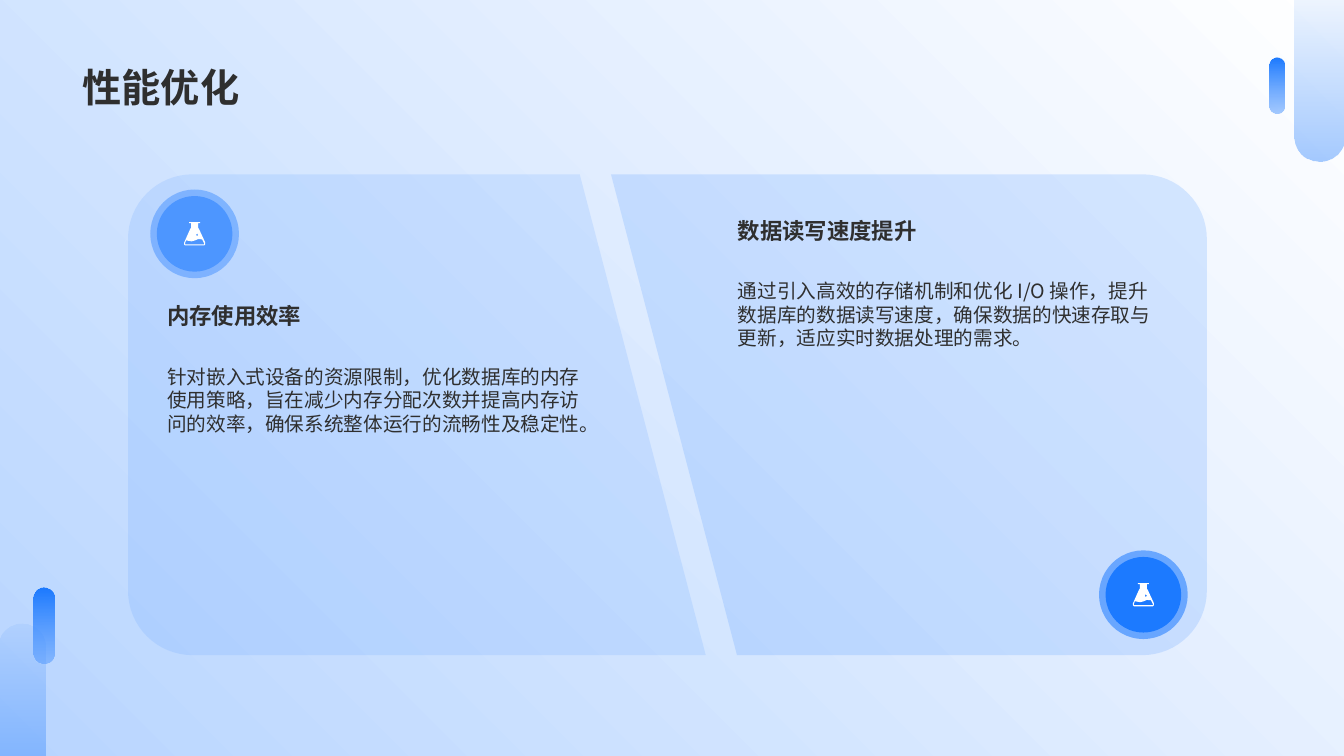
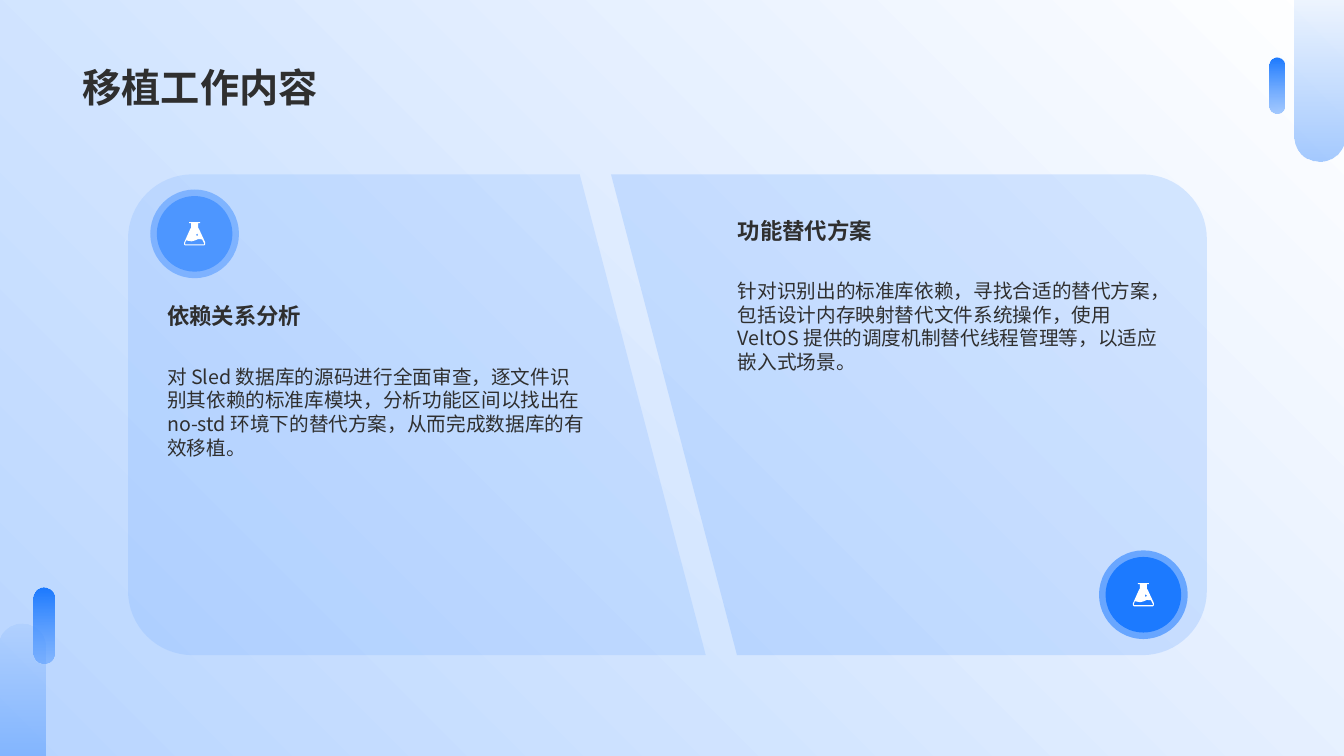
import dataclasses
import math

import pptx
import pptx.dml.color
import pptx.enum.shapes
import pptx.enum.text
import pptx.oxml.ns
import pptx.util
from lxml import etree

SHAPE = pptx.enum.shapes.MSO_SHAPE
ANCHOR = pptx.enum.text.MSO_ANCHOR
inches = pptx.util.Inches


@dataclasses.dataclass(frozen=True)
class Theme:
    font: str = "Noto Sans CJK SC"
    ink: str = "2F2F2F"
    sky: str = "4D96FF"
    blue: str = "1C7AFF"
    mist: str = "B8D5FF"
    white: str = "FFFFFF"
    title_size: int = 28
    heading_size: int = 16
    body_size: int = 14
    panel_alpha: int = 15
    ring_alpha: int = 55


@dataclasses.dataclass(frozen=True)
class Box:
    left: float
    top: float
    width: float
    height: float

    @property
    def right(self):
        return self.left + self.width

    @property
    def bottom(self):
        return self.top + self.height

    def lengths(self):
        return [inches(n) for n in (self.left, self.top, self.width, self.height)]


THEME = Theme()
PAGE = Box(0, 0, 13.33, 7.5)
TITLE = Box(0.72, 0.17, 11.88, 0.98)
LEFT_PANEL = Box(1.27, 1.73, 5.73, 4.77)
RIGHT_PANEL = Box(6.06, 1.73, 5.91, 4.77)
SLANT = 1.25
CORNER = 0.64
RING = 0.88
DISC = 0.75
TEXT_WIDTH = 4.36
BODY_DROP = 0.62

# Flask contours in hundredths of an inch: glass, liquid, bubble
FLASK_SIZE = (0.21, 0.23)
FLASK = [
    [(0, 20.5), (6, 7), (7, 5.5), (7, 1), (5, 1), (5, 0), (16, 0), (16, 1),
     (14, 1), (14, 5.5), (15, 7), (21, 20), (21, 22), (20, 23), (1, 23), (0, 22)],
    [(11, 18), (7.5, 19), (2, 18), (1, 21), (1, 22), (20, 22), (20, 21),
     (18, 17), (14, 16.7)],
    [(13, 11), (12, 12.5), (13, 14), (14, 12.5)],
]

SLIDES = [
    ("性能优化",
     ("内存使用效率",
      "针对嵌入式设备的资源限制，优化数据库的内存使用策略，旨在减少内存分配次数并提高内存访问的效率，确保系统整体运行的流畅性及稳定性。"),
     ("数据读写速度提升",
      "通过引入高效的存储机制和优化 I/O 操作，提升数据库的数据读写速度，确保数据的快速存取与更新，适应实时数据处理的需求。")),
    ("移植工作内容",
     ("依赖关系分析",
      "对 Sled 数据库的源码进行全面审查，逐文件识别其依赖的标准库模块，分析功能区间以找出在 no-std 环境下的替代方案，从而完成数据库的有效移植。"),
     ("功能替代方案",
      "针对识别出的标准库依赖，寻找合适的替代方案，包括设计内存映射替代文件系统操作，使用 VeltOS 提供的调度机制替代线程管理等，以适应嵌入式场景。")),
]


# Fills
def set_alpha(color_element, percent):
    if percent < 100:
        alpha = etree.SubElement(color_element, pptx.oxml.ns.qn("a:alpha"))
        alpha.set("val", str(percent * 1000))


def fill_solid(shape, color, alpha=100):
    shape.shadow.inherit = False
    shape.line.fill.background()
    shape.fill.solid()
    shape.fill.fore_color.rgb = pptx.dml.color.RGBColor.from_string(color)
    set_alpha(next(shape.element.iter(pptx.oxml.ns.qn("a:srgbClr"))), alpha)


def fill_gradient(fill, owner, stops, angle):
    fill.gradient()
    fill.gradient_angle = angle
    for stop, (color, _) in zip(fill.gradient_stops, stops):
        stop.color.rgb = pptx.dml.color.RGBColor.from_string(color)
    gradient = next(owner.iter(pptx.oxml.ns.qn("a:gradFill")))
    colors = gradient.iter(pptx.oxml.ns.qn("a:srgbClr"))
    for element, (_, alpha) in zip(list(colors), stops):
        set_alpha(element, alpha)


# Text
def write(frame, text, size, bold=False, anchor=ANCHOR.TOP):
    frame.word_wrap = True
    frame.auto_size = pptx.enum.text.MSO_AUTO_SIZE.NONE
    frame.vertical_anchor = anchor
    para = frame.paragraphs[0]
    para.alignment = pptx.enum.text.PP_ALIGN.LEFT
    para.line_spacing = 1.0
    span = para.add_run()
    span.text = text
    span.font.size = pptx.util.Pt(size)
    span.font.bold = bold
    span.font.color.rgb = pptx.dml.color.RGBColor.from_string(THEME.ink)
    span.font.name = THEME.font
    east_asian = etree.SubElement(span.font._element, pptx.oxml.ns.qn("a:ea"))
    east_asian.set("typeface", THEME.font)


# Outlines
def draw_outline(page, contours, color, alpha=100):
    contours = [[(inches(x), inches(y)) for x, y in points] for points in contours]
    builder = page.shapes.build_freeform(*contours[0][0])
    for index, points in enumerate(contours):
        if index:
            builder.move_to(*points[0])
        builder.add_line_segments(points[1:], close=True)
    fill_solid(builder.convert_to_shape(), color, alpha)


def corner_arc(center_x, center_y, start, steps=16):
    angles = [math.radians(start + 90 * step / steps) for step in range(steps + 1)]
    return [(center_x + CORNER * math.cos(angle), center_y + CORNER * math.sin(angle))
            for angle in angles]


def left_outline(box):
    x, low, high = box.left + CORNER, box.bottom - CORNER, box.top + CORNER
    return ([(box.right - SLANT, box.top), (box.right, box.bottom)]
            + corner_arc(x, low, 90) + corner_arc(x, high, 180))


def right_outline(box):
    x, low, high = box.right - CORNER, box.bottom - CORNER, box.top + CORNER
    return ([(box.left + SLANT, box.bottom), (box.left, box.top)]
            + corner_arc(x, high, 270) + corner_arc(x, low, 0))


# Round badge with a flask
def add_badge(page, box, color):
    center_x, center_y = box.left + box.width / 2, box.top + box.height / 2
    for size, alpha in ((box.width, THEME.ring_alpha), (DISC, 100)):
        circle = Box(center_x - size / 2, center_y - size / 2, size, size)
        fill_solid(page.shapes.add_shape(SHAPE.OVAL, *circle.lengths()), color, alpha)
    left, top = center_x - FLASK_SIZE[0] / 2, center_y - FLASK_SIZE[1] / 2
    flask = [[(left + x / 100, top + y / 100) for x, y in points] for points in FLASK]
    draw_outline(page, flask, THEME.white)


# Heading with its paragraph below
def add_topic(page, left, top, topic):
    heading, body = topic
    parts = ((heading, top, 0.42, THEME.heading_size, True),
             (body, top + BODY_DROP, 1.25, THEME.body_size, False))
    for text, part_top, height, size, bold in parts:
        part = Box(left, part_top, TEXT_WIDTH, height)
        write(page.shapes.add_textbox(*part.lengths()).text_frame, text, size, bold=bold)


def add_left_panel(page, box, topic):
    draw_outline(page, [left_outline(box)], THEME.sky, THEME.panel_alpha)
    add_badge(page, Box(box.left + 0.22, box.top + 0.15, RING, RING), THEME.sky)
    add_topic(page, box.left + 0.29, box.top + 1.22, topic)


def add_right_panel(page, box, topic):
    draw_outline(page, [right_outline(box)], THEME.blue, THEME.panel_alpha)
    add_badge(page, Box(box.right - 0.19 - RING, box.bottom - 0.16 - RING, RING, RING),
              THEME.blue)
    add_topic(page, box.left + 1.16, box.top + 0.37, topic)


# Shared background, title place and edge bars
def set_up_master(deck, layout, page):
    master = deck.slide_master
    fill_gradient(master.background.fill, master.element,
                  ((THEME.mist, 70), (THEME.white, 100)), 45)
    for holder in (master.placeholders[0], layout.placeholders[0]):
        holder.left, holder.top, holder.width, holder.height = TITLE.lengths()
    pale = ((THEME.sky, 10), (THEME.sky, 50))
    vivid = ((THEME.blue, 100), (THEME.sky, 50))
    bars = [
        (Box(PAGE.right - 0.49, 0, 0.49, 1.6), (0, 0.5), pale),
        (Box(-0.01, PAGE.bottom - 1.31, 0.46, 1.31), (0.5, 0), pale),
        (Box(12.59, 0.57, 0.15, 0.56), (0.5, 0.5), vivid),
        (Box(0.33, 5.83, 0.21, 0.75), (0.5, 0.5), vivid),
    ]
    for box, rounding, stops in bars:
        bar = page.shapes.add_shape(SHAPE.ROUND_2_SAME_RECTANGLE, *box.lengths())
        bar.adjustments[0], bar.adjustments[1] = rounding
        bar.shadow.inherit = False
        bar.line.fill.background()
        fill_gradient(bar.fill, bar.element, stops, 270)
        master.shapes.element.append(bar.element)


def add_topic_slide(page, title, left_topic, right_topic):
    write(page.shapes.title.text_frame, title, THEME.title_size,
          bold=True, anchor=ANCHOR.BOTTOM)
    add_left_panel(page, LEFT_PANEL, left_topic)
    add_right_panel(page, RIGHT_PANEL, right_topic)


def main():
    deck = pptx.Presentation()
    deck.slide_width, deck.slide_height = inches(PAGE.width), inches(PAGE.height)
    layout = deck.slide_layouts.get_by_name("Title Only")
    pages = [deck.slides.add_slide(layout) for _ in SLIDES]
    set_up_master(deck, layout, pages[0])
    for page, content in zip(pages, SLIDES):
        add_topic_slide(page, *content)
    deck.save("out.pptx")


if __name__ == "__main__":
    main()
